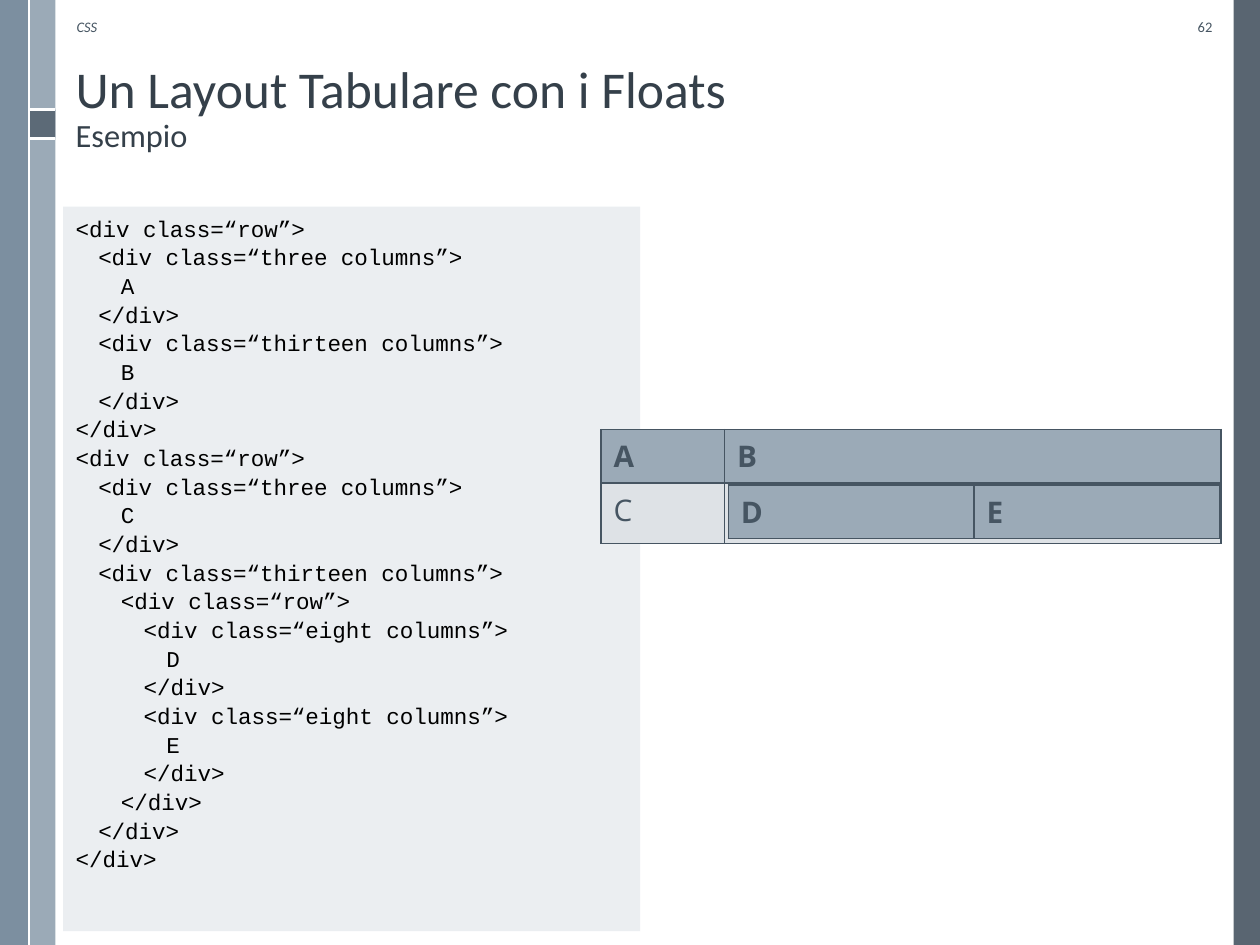
from dataclasses import dataclass
from lxml.etree import SubElement
from pptx import Presentation
from pptx.dml.color import RGBColor
from pptx.enum.shapes import MSO_CONNECTOR as Connector, MSO_SHAPE as Shape
from pptx.enum.text import MSO_ANCHOR as Anchor, MSO_AUTO_SIZE as AutoSize, PP_ALIGN as Align
from pptx.oxml import parse_xml
from pptx.oxml.ns import nsdecls, qn
from pptx.util import Inches, Pt


@dataclass(frozen=True)
class Theme:
    white: str = "FFFFFF"
    black: str = "000000"
    title: str = "35404A"
    ink: str = "465562"
    dark: str = "475562"
    blue: str = "6A8093"
    steel: str = "9BAAB7"
    pale: str = "DEE2E6"
    panel: str = "EBEEF1"
    sans: str = "Calibri"
    mono: str = "Courier New"
    table: str = "Open Sans"
    title_size: float = 29.5
    subtitle_size: float = 18.5
    code_size: float = 12.9
    table_size: float = 17
    label_size: float = 8.3
    code_indent: float = 0.18


class SlideBuilder:
    def __init__(self, page, theme):
        self.page = page
        self.theme = theme

    def set_font(self, font, name, size, color, **flags):
        font.name = name
        font.size = Pt(size)
        font.color.rgb = RGBColor.from_string(color)
        for flag, value in flags.items():
            setattr(font, flag, value)

    def place(self, item, left, top, width, height):
        item.left, item.top = Inches(left), Inches(top)
        item.width, item.height = Inches(width), Inches(height)

    def fill(self, item, color):
        item.fill.solid()
        item.fill.fore_color.rgb = RGBColor.from_string(color)

    def band(self, left, top, width, height, color, opacity=100):
        bar = self.page.shapes.add_shape(
            Shape.RECTANGLE, Inches(left), Inches(top), Inches(width), Inches(height))
        bar.shadow.inherit = False
        bar.line.fill.background()
        self.fill(bar, color)
        if opacity < 100:
            tint = bar.fill._xPr.find(qn("a:solidFill"))[0]
            SubElement(tint, qn("a:alpha"), val=str(opacity * 1000))

    def rule(self, x1, y1, x2, y2):
        line = self.page.shapes.add_connector(
            Connector.STRAIGHT, Inches(x1), Inches(y1), Inches(x2), Inches(y2))
        line.line.color.rgb = RGBColor.from_string(self.theme.white)
        line.line.width = Pt(1.5)
        SubElement(line._element.spPr, qn("a:effectLst"))

    def heading(self, title, subtitle, *area):
        theme = self.theme
        box = self.page.shapes.title
        self.place(box, *area)
        frame = box.text_frame
        frame.auto_size = AutoSize.NONE
        frame.vertical_anchor = Anchor.TOP
        para = frame.paragraphs[0]
        para.alignment = Align.LEFT
        para.line_spacing = 0.9
        for text, size in ((title, theme.title_size), (subtitle, theme.subtitle_size)):
            if para.runs:
                para.add_line_break()
            span = para.add_run()
            span.text = text
            self.set_font(span.font, theme.sans, size, theme.title)

    def code(self, lines, *area):
        theme = self.theme
        box = self.page.placeholders[1]
        self.place(box, *area)
        self.fill(box, theme.panel)
        frame = box.text_frame
        frame.auto_size = AutoSize.NONE
        frame.vertical_anchor = Anchor.TOP
        for index, (depth, text) in enumerate(lines):
            para = frame.add_paragraph() if index else frame.paragraphs[0]
            para.text = text
            para.alignment = Align.LEFT
            para.line_spacing = 1.06
            para.space_before = para.space_after = Pt(0)
            self.set_font(para.font, theme.mono, theme.code_size, theme.black)
            props = para._p.get_or_add_pPr()
            props.set("marL", str(Inches(depth * theme.code_indent)))
            props.set("indent", "0")
            props.insert_element_before(
                parse_xml(f"<a:buNone {nsdecls('a')}/>"), "a:tabLst", "a:defRPr", "a:extLst")

    def label(self, text, *area, align=Align.LEFT, italic=False):
        box = self.page.shapes.add_textbox(*map(Inches, area))
        frame = box.text_frame
        frame.word_wrap = True
        frame.vertical_anchor = Anchor.MIDDLE
        para = frame.paragraphs[0]
        para.text = text
        para.alignment = align
        self.set_font(para.font, self.theme.sans, self.theme.label_size,
                      self.theme.ink, italic=italic)

    def border(self, cell):
        props = cell._tc.get_or_add_tcPr()
        for index, side in enumerate("LRTB"):
            props.insert(index, parse_xml(
                f'<a:ln{side} {nsdecls("a")} w="{Pt(1)}"><a:solidFill>'
                f'<a:srgbClr val="{self.theme.ink}"/></a:solidFill></a:ln{side}>'))

    def table(self, left, top, widths, heights, rows):
        theme = self.theme
        grid = self.page.shapes.add_table(
            len(heights), len(widths), Inches(left), Inches(top),
            Inches(sum(widths)), Inches(sum(heights))).table
        grid.horz_banding = False
        for column, width in zip(grid.columns, widths):
            column.width = Inches(width)
        for index, (row, height, texts) in enumerate(zip(grid.rows, heights, rows)):
            row.height = Inches(height)
            header = index == 0
            for cell, text in zip(row.cells, texts):
                self.fill(cell, theme.steel if header else theme.pale)
                self.border(cell)
                para = cell.text_frame.paragraphs[0]
                para.text = text
                self.set_font(para.font, theme.table, theme.table_size, theme.ink, bold=header)


def markup(nodes, depth=0):
    for name, content in nodes:
        yield depth, f"<div class=“{name}”>"
        if isinstance(content, str):
            yield depth + 1, content
        else:
            yield from markup(content, depth + 1)
        yield depth, "</div>"


LAYOUT = [
    ("row", [("three columns", "A"), ("thirteen columns", "B")]),
    ("row", [
        ("three columns", "C"),
        ("thirteen columns", [
            ("row", [("eight columns", "D"), ("eight columns", "E")]),
        ]),
    ]),
]

deck = Presentation()
deck.slide_width, deck.slide_height = Inches(10), Inches(7.5)
theme = Theme()
slide = SlideBuilder(deck.slides.add_slide(deck.slide_layouts[1]), theme)

slide.band(9.79, 0, 0.21, 7.5, theme.dark, 90)
slide.band(0.23, 0, 0.21, 7.5, theme.steel)
slide.band(0, 0, 0.23, 7.5, theme.blue, 88)
slide.band(0.24, 0.87, 0.2, 0.22, theme.dark, 75)
for y in (0.87, 1.1):
    slide.rule(0.23, y, 0.44, y)
slide.rule(0.23, 0, 0.23, 7.5)

slide.heading("Un Layout Tabulare con i Floats", "Esempio", 0.5, 0.46, 9.22, 1.09)
slide.code(markup(LAYOUT), 0.5, 1.64, 4.58, 5.75)
slide.table(4.77, 3.41, [0.98, 3.94], [0.37, 0.48], [["A", "B"], ["C", ""]])
slide.table(5.78, 3.85, [1.95, 1.95], [0.38], [["D", "E"]])
slide.label("CSS", 0.51, 0.06, 3.26, 0.31, italic=True)
slide.label("62", 9.13, 0.06, 0.59, 0.31, align=Align.RIGHT)

deck.save("out.pptx")
